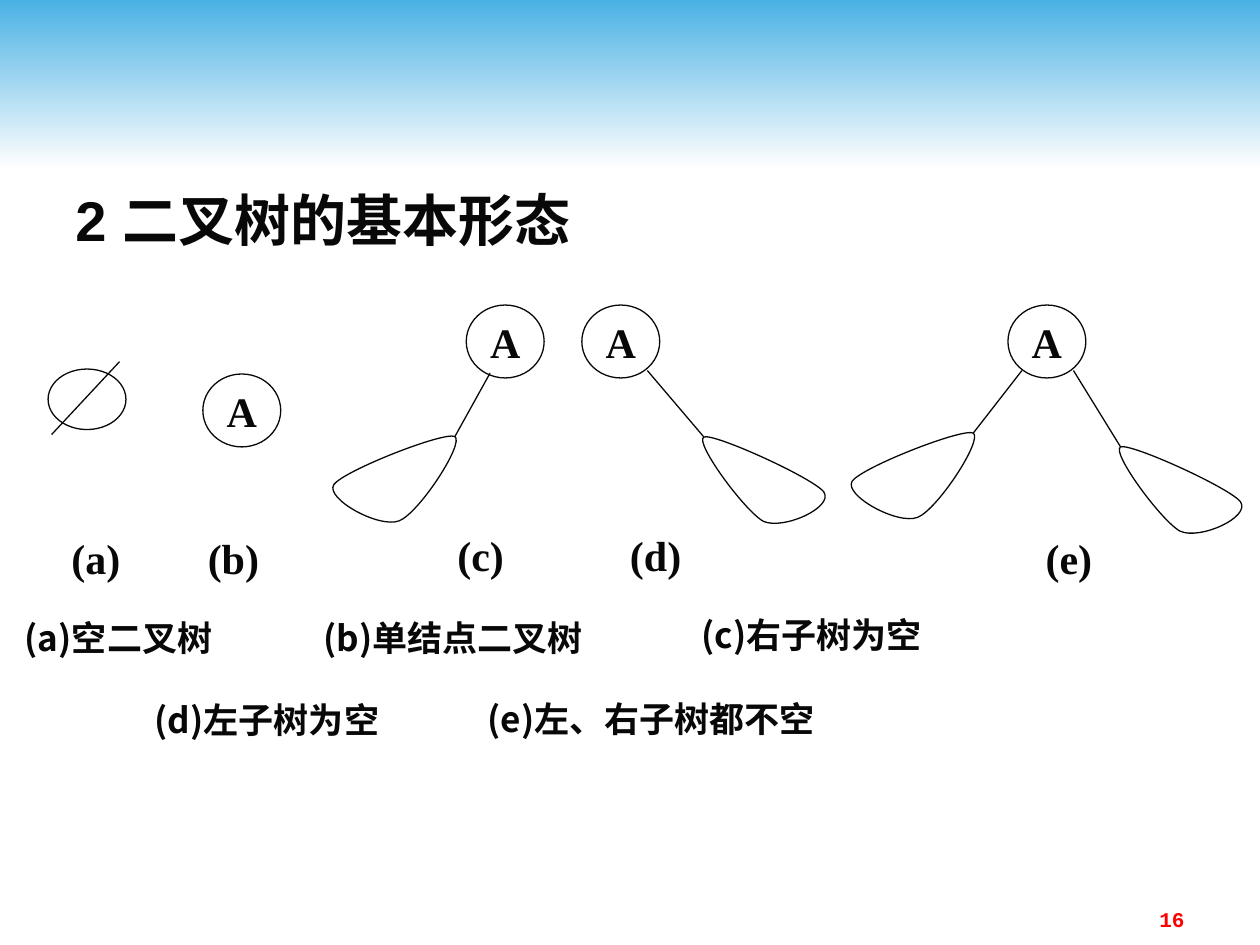
from lxml import etree
from pptx import Presentation
from pptx import util as u
from pptx.dml import color
from pptx.enum import shapes, text
from pptx.oxml import ns

INK = "080808"
SERIF = "Times New Roman"
CJK = "Noto Sans CJK SC"
NODE_WIDTH, NODE_HEIGHT = 1.57, 1.47

LEFT_LEAF = [(0.18, 1.07), (0, 1.35), (1.09, 1.96), (1.5, 1.8), (1.91, 1.63),
             (2.82, 0.23), (2.62, 0.1), (2.39, 0), (0.38, 0.79), (0.18, 1.07)]
RIGHT_LEAF = [(0.2, 0.08), (0, 0.18), (1.02, 1.57), (1.4, 1.78), (1.8, 1.96),
              (2.82, 1.5), (2.62, 1.19), (2.41, 0.91), (0.41, 0), (0.2, 0.08)]
LEFT_TIP, RIGHT_TIP = LEFT_LEAF[6], RIGHT_LEAF[0]


def rgb(value):
    return color.RGBColor.from_string(value)


def cm(*values):
    return [u.Cm(value) for value in values]


def write(shape, content, size, font, ink=INK, align=text.PP_ALIGN.LEFT,
          anchor=text.MSO_ANCHOR.MIDDLE, wrap=False):
    frame = shape.text_frame
    frame.text = content
    frame.word_wrap = wrap
    frame.vertical_anchor = anchor
    paragraph = frame.paragraphs[0]
    paragraph.alignment = align
    run = paragraph.runs[0]
    run.font.size = u.Pt(size)
    run.font.name = font
    run.font.bold = True
    run.font.color.rgb = rgb(ink)
    east_asian = etree.SubElement(run.font._element, ns.qn("a:ea"))
    east_asian.set("typeface", CJK)
    run.font._element.find(ns.qn("a:latin")).addnext(east_asian)


def add_text(slide, box, content, size, font, **options):
    write(slide.shapes.add_textbox(*cm(*box)), content, size, font, **options)


def outline(shape):
    shape.shadow.inherit = False
    shape.fill.background()
    shape.line.color.rgb = rgb(INK)
    shape.line.width = u.Pt(0.75)


def add_ellipse(slide, box):
    shape = slide.shapes.add_shape(shapes.MSO_SHAPE.OVAL, *cm(*box))
    outline(shape)
    return shape


def add_line(slide, start, end):
    line = slide.shapes.add_connector(shapes.MSO_CONNECTOR.STRAIGHT, *cm(*start, *end))
    line.line.color.rgb = rgb(INK)
    line.line.width = u.Pt(0.75)
    etree.SubElement(line._element.spPr, ns.qn("a:effectLst"))


def add_leaf(slide, left, top, points):
    placed = [tuple(cm(left + x, top + y)) for x, y in points]
    builder = slide.shapes.build_freeform(*placed[0])
    builder.add_line_segments(placed[1:], close=True)
    shape = builder.convert_to_shape()
    segments = list(shape._element.iter(ns.qn("a:lnTo")))
    for first in range(0, len(segments), 3):
        curve = etree.Element(ns.qn("a:cubicBezTo"))
        segments[first].addprevious(curve)
        for segment in segments[first:first + 3]:
            curve.append(segment[0])
            segment.getparent().remove(segment)
    outline(shape)


def add_banner(slide, box):
    banner = slide.shapes.add_shape(shapes.MSO_SHAPE.RECTANGLE, *cm(*box))
    banner.shadow.inherit = False
    banner.line.fill.background()
    banner.fill.gradient()
    banner.fill.gradient_angle = 270
    for stop, value, position in zip(banner.fill.gradient_stops, ("4AB1E4", "FEFEFE"), (0, 1)):
        stop.color.rgb = rgb(value)
        stop.position = position


def add_empty_tree(slide, left, top):
    add_ellipse(slide, (left, top, NODE_WIDTH, 1.22))
    add_line(slide, (left + 1.44, top - 0.15), (left + 0.07, top + 1.32))


def add_tree(slide, left, top, left_branch=None, right_branch=None):
    node = add_ellipse(slide, (left, top, NODE_WIDTH, NODE_HEIGHT))
    write(node, "A", 24, SERIF, align=text.PP_ALIGN.CENTER)
    sides = ((left_branch, LEFT_LEAF, LEFT_TIP), (right_branch, RIGHT_LEAF, RIGHT_TIP))
    for branch, leaf, tip in sides:
        if branch:
            start, end = [(left + x, top + y) for x, y in branch]
            add_line(slide, start, end)
            add_leaf(slide, end[0] - tip[0], end[1] - tip[1], leaf)


def add_forms(slide, top):
    add_empty_tree(slide, 0.97, top + 1.29)
    add_tree(slide, 4.09, top + 1.39)
    add_tree(slide, 9.4, top, left_branch=((0.48, 1.37), (-0.23, 2.65)))
    add_tree(slide, 11.73, top, right_branch=((1.32, 1.32), (2.46, 2.66)))
    add_tree(slide, 20.32, top, left_branch=((0.28, 1.32), (-0.7, 2.58)),
             right_branch=((1.32, 1.32), (2.27, 2.86)))


def add_labels(slide, top):
    labels = (("(a)", 1.19, 0.07), ("(b)", 3.94, 0.07), ("(c)", 8.97, 0),
              ("(d)", 12.45, 0), ("(e)", 20.83, 0.07))
    for label, left, drop in labels:
        add_text(slide, (left, top + drop, 1.57, 1.22), label, 24, SERIF)


def add_captions(slide, top):
    captions = (("(a)空二叉树", 0.25, 0.05, 5.21),
                ("(b)单结点二叉树", 6.27, 0.05, 6.91),
                ("(c)右子树为空", 13.89, 0, 5.99),
                ("(d)左子树为空", 2.87, 1.7, 5.99),
                ("(e)左、右子树都不空", 9.58, 1.68, 8.26))
    for caption, left, drop, width in captions:
        add_text(slide, (left, top + drop, width, 1.22), caption, 20, CJK)


def main():
    presentation = Presentation()
    presentation.slide_width, presentation.slide_height = cm(25.4, 19.05)
    slide = presentation.slides.add_slide(presentation.slide_layouts[6])
    add_banner(slide, (0, 0, 25.4, 3.38))
    add_text(slide, (1.27, 3.61, 22.86, 13.97), "2 二叉树的基本形态", 32, "Arial",
             anchor=text.MSO_ANCHOR.TOP, wrap=True)
    add_forms(slide, 6.15)
    add_labels(slide, 10.57)
    add_captions(slide, 12.19)
    add_text(slide, (18.21, 18.16, 5.92, 0.69), "16", 12, "Courier New", ink="FF0000",
             align=text.PP_ALIGN.RIGHT, anchor=text.MSO_ANCHOR.TOP, wrap=True)
    presentation.save("out.pptx")


if __name__ == "__main__":
    main()
